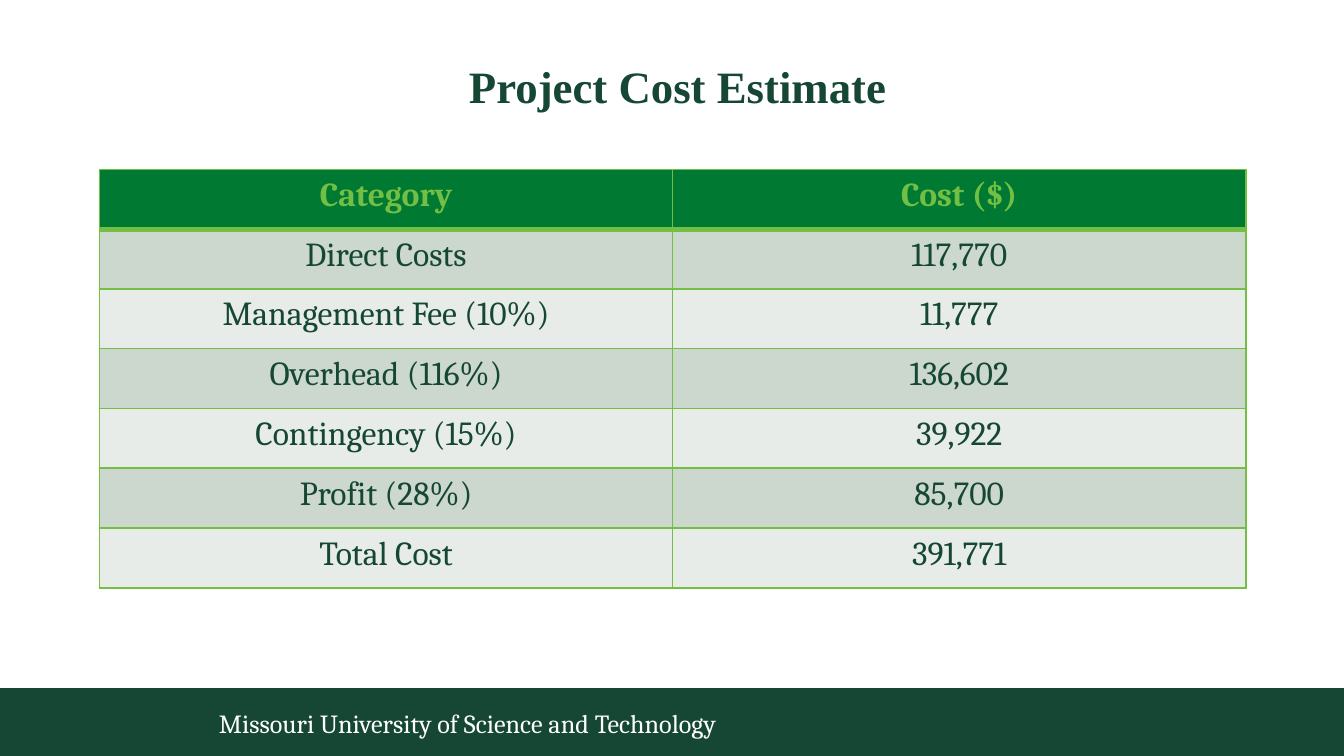
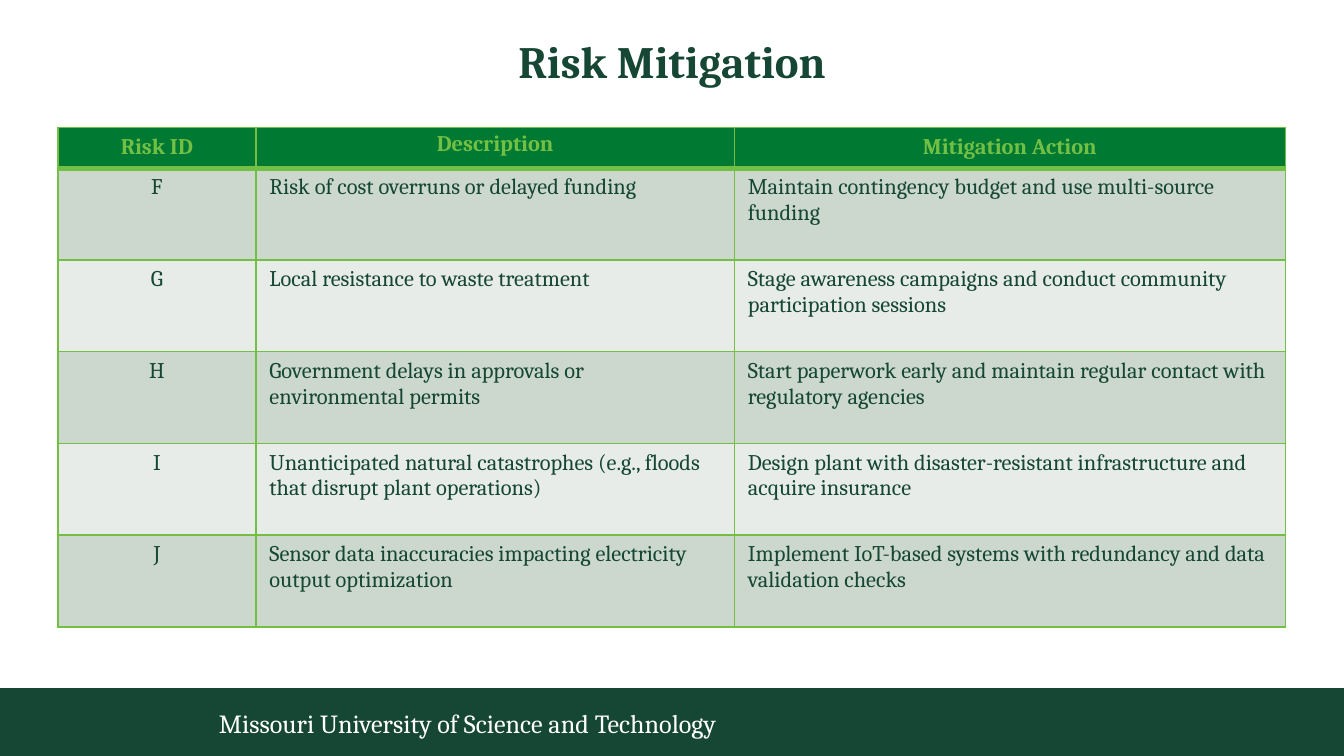
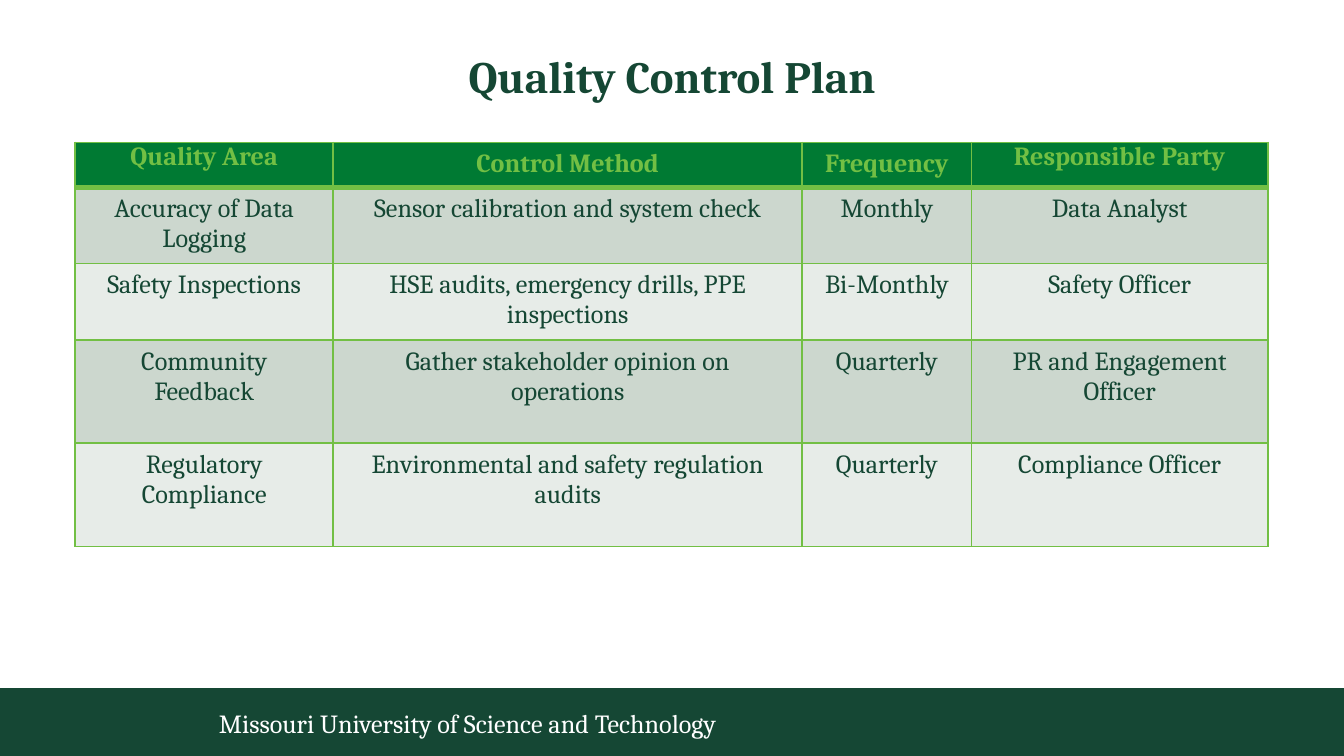
"""Build three green table slides for a project proposal."""
import pptx
import pptx.dml.color
import pptx.enum.shapes
import pptx.enum.text
import pptx.oxml
import pptx.oxml.ns
import pptx.util

RGBColor = pptx.dml.color.RGBColor
ALIGN = pptx.enum.text.PP_ALIGN
ANCHOR = pptx.enum.text.MSO_ANCHOR

PINE = RGBColor(0x15, 0x47, 0x34)
GREEN = RGBColor(0x00, 0x7A, 0x33)
LIME = RGBColor(0x72, 0xBF, 0x44)
BANDS = RGBColor(0xCC, 0xD7, 0xCE), RGBColor(0xE7, 0xEC, 0xE8)
WHITE = RGBColor(0xFF, 0xFF, 0xFF)

FONT = "Cambria"
COLUMNS, ROWS = 100, 56.25
FOOTER = "Missouri University of Science and Technology"


class Deck:
    def __init__(self):
        self.prs = pptx.Presentation()
        self.prs.slide_width = pptx.util.Inches(10)
        self.prs.slide_height = pptx.util.Inches(5.625)
        self.s = None

    def x(self, columns):
        return round(self.prs.slide_width * columns / COLUMNS)

    def y(self, rows):
        return round(self.prs.slide_height * rows / ROWS)

    def box(self, left, top, width, height):
        return self.x(left), self.y(top), self.x(width), self.y(height)

    def slide(self):
        self.s = self.prs.slides.add_slide(self.prs.slide_layouts[6])
        self.band()
        self.text(FOOTER, (15.3, 51.8, 63.5, 4), 14, WHITE).vertical_anchor = ANCHOR.MIDDLE

    def band(self):
        sp = self.s.shapes.add_shape(
            pptx.enum.shapes.MSO_SHAPE.RECTANGLE, *self.box(0, 51.2, COLUMNS, ROWS - 51.2))
        sp.shadow.inherit = False
        sp.fill.solid()
        sp.fill.fore_color.rgb = PINE
        sp.line.fill.background()

    def style(self, p, size, color, bold=False, align=ALIGN.LEFT, font=FONT):
        p.alignment = align
        p.font.name = font
        p.font.size = pptx.util.Pt(size)
        p.font.bold = bold
        p.font.color.rgb = color

    def text(self, text, place, size, color, **style):
        tf = self.s.shapes.add_textbox(*self.box(*place)).text_frame
        tf.word_wrap = True
        p = tf.paragraphs[0]
        p.text = text
        self.style(p, size, color, **style)
        return tf

    def title(self, text, top=3, spacing=0.9, font=FONT):
        tf = self.text(text, (4.3, top, 91.4, 4.4), 24, PINE,
                       bold=True, align=ALIGN.CENTER, font=font)
        tf.margin_left = tf.margin_right = tf.margin_top = tf.margin_bottom = 0
        tf.paragraphs[0].line_spacing = spacing

    def border(self, cell, **widths):
        tc_pr = cell._tc.get_or_add_tcPr()
        for i, side in enumerate("LRTB"):
            width = pptx.util.Pt(widths.get(side, 1))
            tc_pr.insert(i, pptx.oxml.parse_xml(
                f'<a:ln{side} {pptx.oxml.ns.nsdecls("a")} w="{width}"><a:solidFill>'
                f'<a:srgbClr val="{LIME}"/></a:solidFill></a:ln{side}>'))

    def table(self, data, corner, widths, heights, size, left_columns=(),
              raised_headers=(), raised_spacing=1.0):
        place = self.box(*corner, sum(widths), sum(heights))
        table = self.s.shapes.add_table(len(data), len(widths), *place).table
        table.first_row = table.horz_banding = False
        for column, width in zip(table.columns, widths):
            column.width = self.x(width)
        for i, (row, height) in enumerate(zip(table.rows, heights)):
            row.height = self.y(height)
            header = i == 0
            for j, cell in enumerate(row.cells):
                cell.text = data[i][j]
                p = cell.text_frame.paragraphs[0]
                left = not header and j in left_columns
                self.style(p, size, LIME if header else PINE, bold=header,
                           align=ALIGN.LEFT if left else ALIGN.CENTER)
                cell.fill.solid()
                cell.fill.fore_color.rgb = GREEN if header else BANDS[(i - 1) % 2]
                self.border(cell, B=3 if header else 1, T=3 if i == 1 else 1)
                if header and j in raised_headers:
                    cell.margin_left = cell.margin_right = self.x(0.7)
                    cell.margin_top = cell.margin_bottom = 0
                    p.line_spacing = raised_spacing
                    p.space_after = pptx.util.Pt(8)


COSTS = [
    ("Category", "Cost ($)"),
    ("Direct Costs", "117,770"),
    ("Management Fee (10%)", "11,777"),
    ("Overhead (116%)", "136,602"),
    ("Contingency (15%)", "39,922"),
    ("Profit (28%)", "85,700"),
    ("Total Cost", "391,771"),
]

RISKS = [
    ("Risk ID", "Description", "Mitigation Action"),
    ("F", "Risk of cost overruns or delayed funding",
     "Maintain contingency budget and use multi-source funding"),
    ("G", "Local resistance to waste treatment",
     "Stage awareness campaigns and conduct community participation sessions"),
    ("H", "Government delays in approvals or environmental permits",
     "Start paperwork early and maintain regular contact with regulatory agencies"),
    ("I", "Unanticipated natural catastrophes (e.g., floods that disrupt plant operations)",
     "Design plant with disaster-resistant infrastructure and acquire insurance"),
    ("J", "Sensor data inaccuracies impacting electricity output optimization",
     "Implement IoT-based systems with redundancy and data validation checks"),
]

QUALITY = [
    ("Quality Area", "Control Method", "Frequency", "Responsible Party"),
    ("Accuracy of Data Logging", "Sensor calibration and system check",
     "Monthly", "Data Analyst"),
    ("Safety Inspections", "HSE audits, emergency drills, PPE inspections",
     "Bi-Monthly", "Safety Officer"),
    ("Community Feedback", "Gather stakeholder opinion on operations",
     "Quarterly", "PR and Engagement Officer"),
    ("Regulatory Compliance", "Environmental and safety regulation audits",
     "Quarterly", "Compliance Officer"),
]


def main():
    deck = Deck()

    deck.slide()
    deck.title(" Project Cost Estimate", top=4.8, font="Times New Roman")
    deck.table(COSTS, (7.4, 12.6), [42.65] * 2, [4.45] * len(COSTS), 18)

    deck.slide()
    deck.title("Risk Mitigation")
    deck.table(RISKS, (4.3, 9.5), [14.75, 35.6, 41], [3] + [6.83] * 5, 12,
               left_columns=(1, 2), raised_headers=(1,), raised_spacing=1.15)

    deck.slide()
    deck.title("Quality Control Plan", spacing=1.15)
    deck.table(QUALITY, (5.6, 10.6), [19.2, 34.9, 12.6, 22.05],
               [3.3, 5.5, 5.5, 7.7, 7.7], 14, raised_headers=(0, 3))

    deck.prs.save("out.pptx")


if __name__ == "__main__":
    main()
